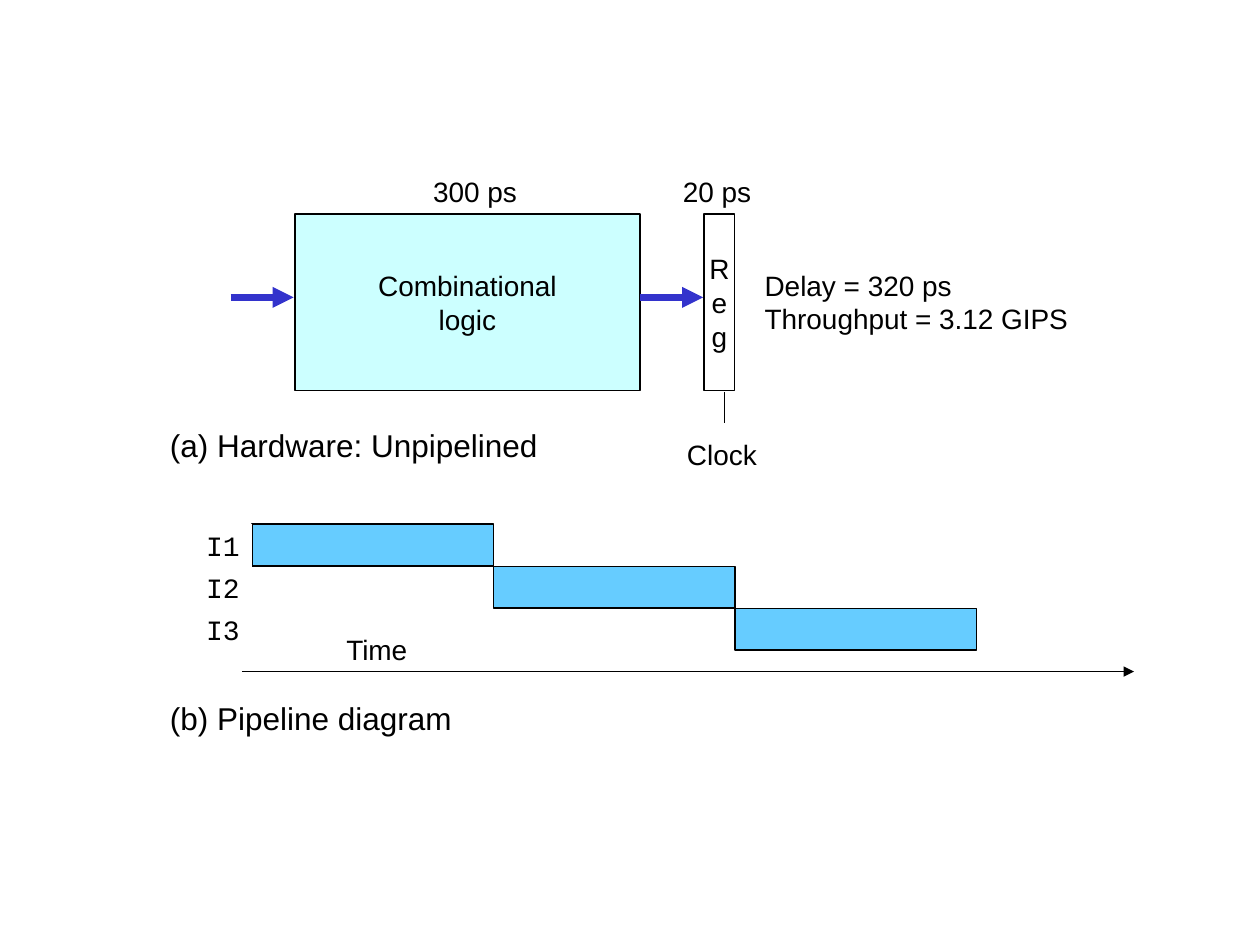
from dataclasses import dataclass

from lxml import etree
from pptx import Presentation
from pptx import util as u
from pptx.dml.color import RGBColor
from pptx.enum import shapes, text
from pptx.oxml import ns


@dataclass(frozen=True)
class Theme:
    black: RGBColor = RGBColor(0x00, 0x00, 0x00)
    white: RGBColor = RGBColor(0xFF, 0xFF, 0xFF)
    logic: RGBColor = RGBColor(0xCC, 0xFF, 0xFF)
    stage: RGBColor = RGBColor(0x66, 0xCC, 0xFF)
    signal: RGBColor = RGBColor(0x33, 0x33, 0xCC)
    font: str = "Arial"
    code_font: str = "Courier New"
    body_size: int = 16
    caption_size: int = 18


THEME = Theme()
LEFT, CENTER, RIGHT = text.PP_ALIGN.LEFT, text.PP_ALIGN.CENTER, text.PP_ALIGN.RIGHT


def write_text(shape, content, align, size=THEME.body_size, font=THEME.font):
    text_frame = shape.text_frame
    text_frame.text = content
    text_frame.word_wrap = False
    for paragraph in text_frame.paragraphs:
        paragraph.alignment = align
        for run in paragraph.runs:
            run.font.name = font
            run.font.size = u.Pt(size)
            run.font.color.rgb = THEME.black


def add_box(slide, left, top, width, height, fill, line_width=None):
    shape = slide.shapes.add_shape(
        shapes.MSO_SHAPE.RECTANGLE,
        u.Inches(left), u.Inches(top), u.Inches(width), u.Inches(height))
    shape.shadow.inherit = False
    shape.fill.solid()
    shape.fill.fore_color.rgb = fill
    if line_width is None:
        shape.line.fill.background()
    else:
        shape.line.color.rgb = THEME.black
        shape.line.width = u.Pt(line_width)
    shape.text_frame.vertical_anchor = text.MSO_ANCHOR.MIDDLE
    return shape


def add_label(slide, content, left, top, width, height=0.36,
              align=LEFT, size=THEME.body_size):
    label = slide.shapes.add_textbox(
        u.Inches(left), u.Inches(top), u.Inches(width), u.Inches(height))
    write_text(label, content, align, size)
    label.text_frame.auto_size = text.MSO_AUTO_SIZE.SHAPE_TO_FIT_TEXT


def add_line(slide, start, end, color=THEME.black, width=1, arrow=True):
    line = slide.shapes.add_connector(
        shapes.MSO_CONNECTOR.STRAIGHT,
        u.Inches(start[0]), u.Inches(start[1]), u.Inches(end[0]), u.Inches(end[1]))
    line.line.color.rgb = color
    line.line.width = u.Pt(width)
    if arrow:
        outline = line.line._get_or_add_ln()
        etree.SubElement(outline, ns.qn("a:tailEnd"), type="triangle")
    etree.SubElement(line._element.spPr, ns.qn("a:effectLst"))


def add_hardware(slide):
    logic = add_box(slide, 2.34, 1.7, 2.74, 1.4, THEME.logic, 1)
    write_text(logic, "Combinational\nlogic", CENTER)
    register = add_box(slide, 5.59, 1.7, 0.24, 1.4, THEME.white, 1)
    write_text(register, "R\ne\ng", CENTER)
    add_label(slide, "300 ps", 3.32, 1.34, 0.9, align=CENTER)
    add_label(slide, "20 ps", 5.29, 1.34, 0.8, align=CENTER)
    for left in (1.83, 5.08):
        add_line(slide, (left, 2.36), (left + 0.5, 2.36), THEME.signal, 4)
    add_line(slide, (5.75, 3.11), (5.75, 3.36), arrow=False)
    add_label(slide, "Clock", 5.33, 3.42, 0.8, align=CENTER)
    add_label(slide, "Delay = 320 ps\nThroughput = 3.12 GIPS", 5.97, 2.08, 2.68, 0.64)


def add_pipeline(slide):
    add_line(slide, (1.92, 5.33), (9, 5.33))
    add_label(slide, "Time", 2.65, 4.97, 0.72)
    row_height, duration = 1 / 3, 23 / 12
    for index, name in enumerate(("I1", "I2", "I3")):
        top = 4.16 + index * row_height
        add_box(slide, 2 + index * duration, top, duration, row_height, THEME.stage, 0.75)
        instruction = add_box(slide, 1.08, top, 0.92, row_height, THEME.white)
        write_text(instruction, name, RIGHT, font=THEME.code_font)


def main():
    presentation = Presentation()
    presentation.slide_width = u.Inches(10)
    presentation.slide_height = u.Inches(7.5)
    slide = presentation.slides.add_slide(presentation.slide_layouts[6])
    add_hardware(slide)
    add_pipeline(slide)
    add_label(slide, "(a) Hardware: Unpipelined", 1.25, 3.33, 3.25, 0.4,
              size=THEME.caption_size)
    add_label(slide, "(b) Pipeline diagram", 1.25, 5.5, 2.5, 0.4,
              size=THEME.caption_size)
    presentation.save("out.pptx")


if __name__ == "__main__":
    main()
